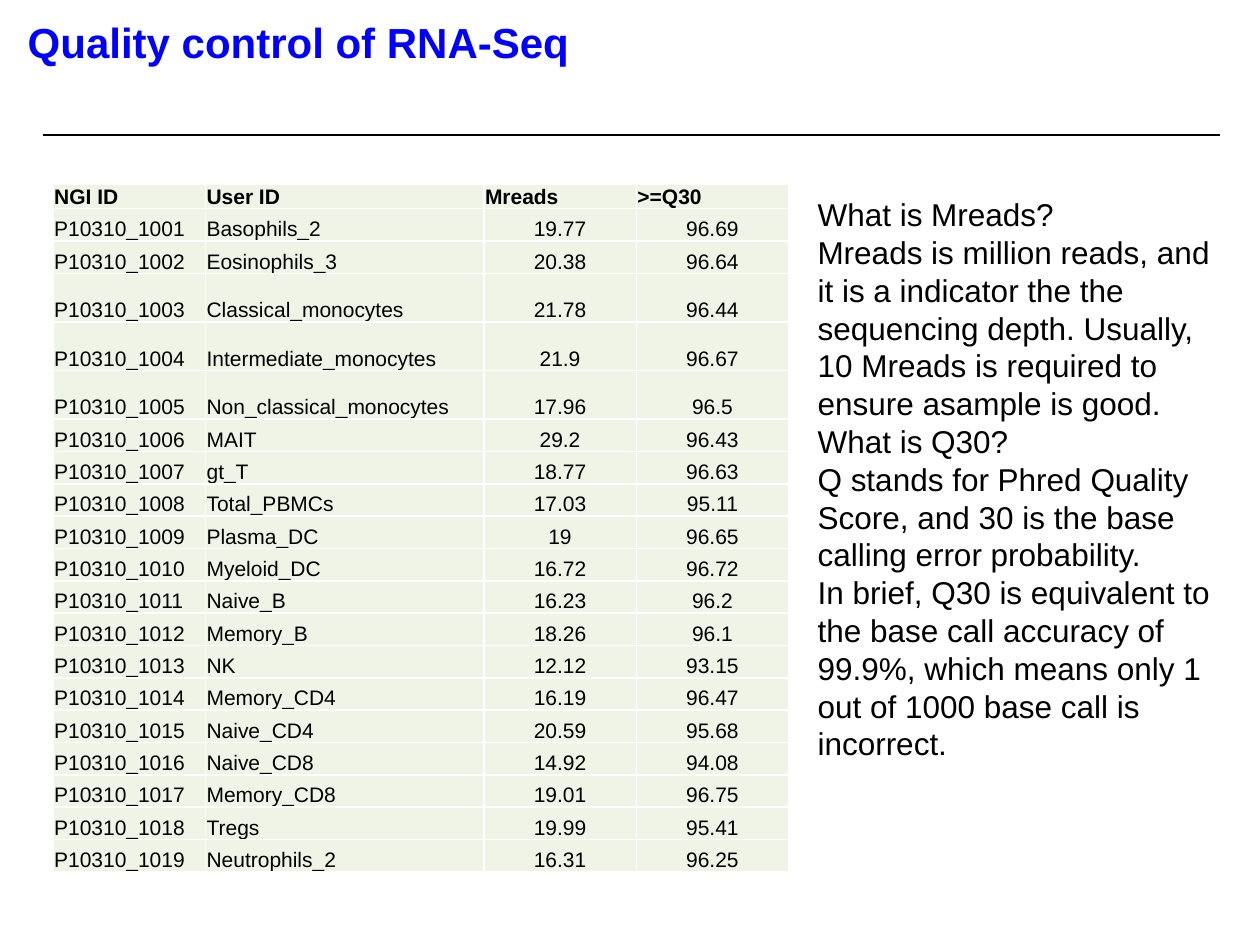
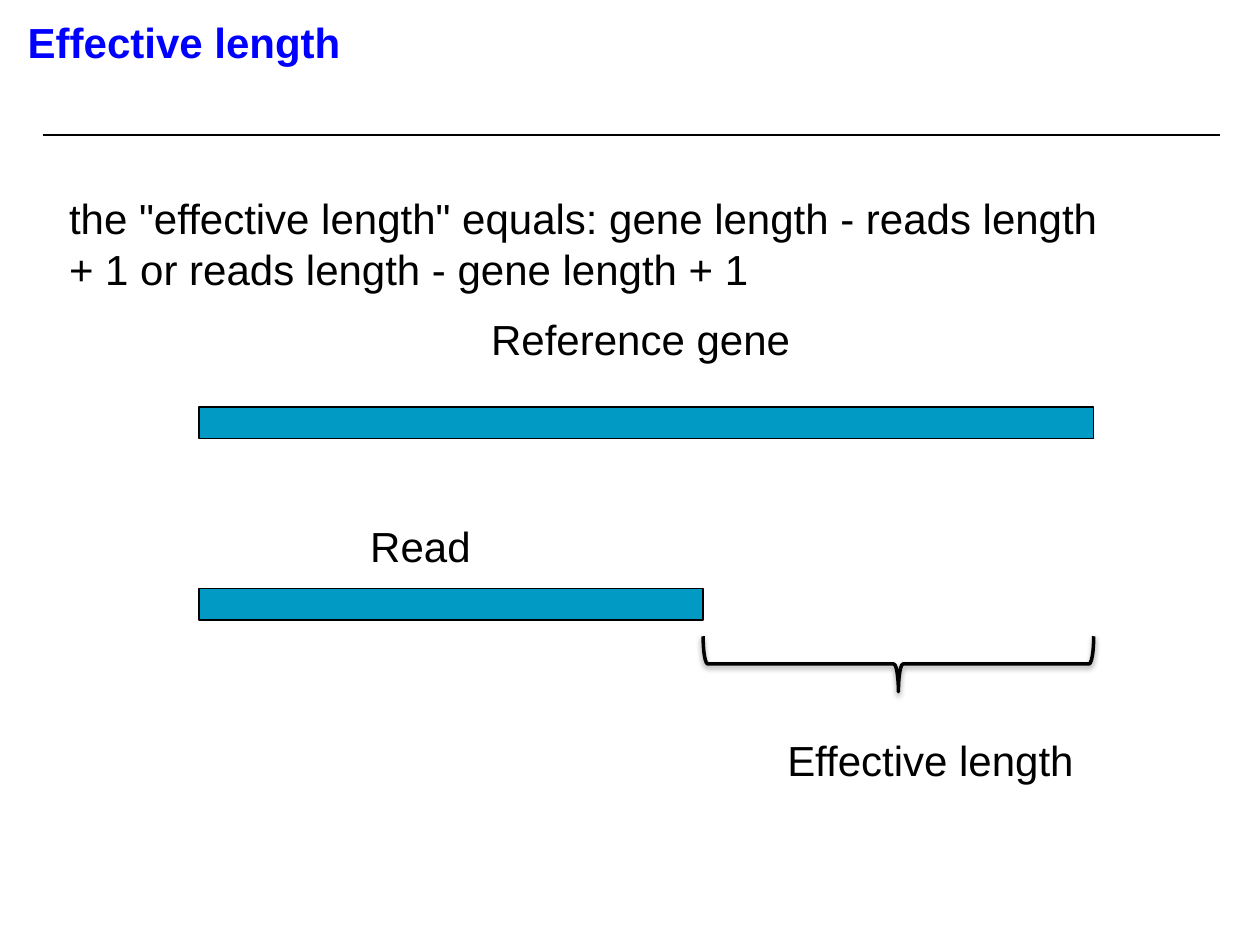
"""Build two slides on RNA-Seq quality control and effective length."""
from dataclasses import dataclass

from lxml.etree import SubElement
from pptx import Presentation
from pptx.dml.color import RGBColor
from pptx.enum.shapes import MSO_CONNECTOR, MSO_SHAPE
from pptx.enum.text import MSO_ANCHOR, MSO_AUTO_SIZE, PP_ALIGN
from pptx.oxml.ns import qn
from pptx.util import Inches, Pt


@dataclass(frozen=True)
class Theme:
    font: str = "Arial"
    ink: str = "000000"
    title: str = "0000FF"
    bar: str = "009AC5"
    cell: str = "EFF4E7"
    cell_border: str = "FFFFFF"
    title_size: int = 24
    label_size: int = 24
    body_size: int = 18
    table_size: int = 12


SAMPLES = [
    ("Basophils_2", "19.77", "96.69"),
    ("Eosinophils_3", "20.38", "96.64"),
    ("Classical_monocytes", "21.78", "96.44"),
    ("Intermediate_monocytes", "21.9", "96.67"),
    ("Non_classical_monocytes", "17.96", "96.5"),
    ("MAIT", "29.2", "96.43"),
    ("gt_T", "18.77", "96.63"),
    ("Total_PBMCs", "17.03", "95.11"),
    ("Plasma_DC", "19", "96.65"),
    ("Myeloid_DC", "16.72", "96.72"),
    ("Naive_B", "16.23", "96.2"),
    ("Memory_B", "18.26", "96.1"),
    ("NK", "12.12", "93.15"),
    ("Memory_CD4", "16.19", "96.47"),
    ("Naive_CD4", "20.59", "95.68"),
    ("Naive_CD8", "14.92", "94.08"),
    ("Memory_CD8", "19.01", "96.75"),
    ("Tregs", "19.99", "95.41"),
    ("Neutrophils_2", "16.31", "96.25"),
]
EXPLANATION = [
    "What is Mreads?",
    "Mreads is million reads, and it is a indicator the the sequencing depth. "
    "Usually, 10 Mreads is required to ensure asample is good.",
    "What is Q30?",
    "Q stands for Phred Quality Score, and 30 is the base calling error probability.",
    "In brief, Q30 is equivalent to the base call accuracy of 99.9%, "
    "which means only 1 out of 1000 base call is incorrect.",
]


class SlideBuilder:
    def __init__(self, deck, theme):
        self.deck = deck
        self.theme = theme
        self.page = None

    def start_page(self, title):
        self.page = self.deck.slides.add_slide(self.deck.slide_layouts[5])
        box = self.page.shapes.title
        box.left, box.top = Inches(0.12), Inches(0.08)
        box.width, box.height = Inches(8.64), Inches(0.89)
        frame = box.text_frame
        frame.auto_size = MSO_AUTO_SIZE.NONE
        frame.vertical_anchor = MSO_ANCHOR.TOP
        self.add_lines(frame, [title], self.theme.title_size, self.theme.title, bold=True)
        self.rule(0.34, 9.68, 1.07)

    def add_lines(self, frame, lines, size, color=None, bold=False, align=PP_ALIGN.LEFT):
        for index, line in enumerate(lines):
            para = frame.add_paragraph() if index else frame.paragraphs[0]
            para.alignment = align
            span = para.add_run()
            span.text = line
            span.font.name = self.theme.font
            span.font.size = Pt(size)
            span.font.bold = bold
            span.font.color.rgb = RGBColor.from_string(color or self.theme.ink)

    def rule(self, left, right, top):
        line = self.page.shapes.add_connector(
            MSO_CONNECTOR.STRAIGHT, Inches(left), Inches(top), Inches(right), Inches(top))
        self.outline(line, 1)
        SubElement(line.element.spPr, qn("a:effectLst"))

    def outline(self, shape, width):
        shape.line.color.rgb = RGBColor.from_string(self.theme.ink)
        shape.line.width = Pt(width)

    def text(self, lines, left, top, width, height, size):
        box = self.page.shapes.add_textbox(
            Inches(left), Inches(top), Inches(width), Inches(height))
        box.text_frame.word_wrap = True
        box.text_frame.auto_size = MSO_AUTO_SIZE.SHAPE_TO_FIT_TEXT
        self.add_lines(box.text_frame, lines, size)

    def label(self, line, left, top):
        self.text([line], left, top, 4.23, 0.5, self.theme.label_size)

    def bar(self, left, top, width):
        bar = self.page.shapes.add_shape(
            MSO_SHAPE.RECTANGLE, Inches(left), Inches(top), Inches(width), Inches(0.25))
        bar.shadow.inherit = False
        bar.fill.solid()
        bar.fill.fore_color.rgb = RGBColor.from_string(self.theme.bar)
        self.outline(bar, 0.75)

    def brace_below(self, left, top, width, depth):
        shift = (width - depth) / 2
        brace = self.page.shapes.add_shape(
            MSO_SHAPE.RIGHT_BRACE, Inches(left + shift), Inches(top - shift),
            Inches(depth), Inches(width))
        brace.rotation = 90
        brace.fill.background()
        self.outline(brace, 2)
        brace.shadow.inherit = False
        effects = brace.element.spPr.find(qn("a:effectLst"))
        shadow = SubElement(effects, qn("a:outerShdw"), blurRad=str(Pt(3.1)),
                            dist=str(Pt(1.6)), dir="5400000", rotWithShape="0")
        color = SubElement(shadow, qn("a:srgbClr"), val=self.theme.ink)
        SubElement(color, qn("a:alpha"), val="38000")

    def table(self, rows, left, top, widths, heights):
        frame = self.page.shapes.add_table(
            len(rows), len(widths), Inches(left), Inches(top),
            Inches(sum(widths)), Inches(sum(heights)))
        table = frame.table
        table.first_row = table.horz_banding = False
        for column, width in zip(table.columns, widths):
            column.width = Inches(width)
        for row, height in zip(table.rows, heights):
            row.height = Inches(height)
        for row_index, values in enumerate(rows):
            header = row_index == 0
            for column_index, value in enumerate(values):
                centred = not header and column_index >= 2
                self.fill_cell(table.cell(row_index, column_index), value, header,
                               PP_ALIGN.CENTER if centred else PP_ALIGN.LEFT)

    def fill_cell(self, cell, value, bold, align):
        cell.margin_left = cell.margin_right = cell.margin_top = Inches(0.01)
        cell.margin_bottom = 0
        cell.vertical_anchor = MSO_ANCHOR.BOTTOM
        properties = cell._tc.get_or_add_tcPr()
        for side in ("lnL", "lnR", "lnT", "lnB"):
            border = SubElement(properties, qn(f"a:{side}"), w=str(Pt(1)))
            fill = SubElement(border, qn("a:solidFill"))
            SubElement(fill, qn("a:srgbClr"), val=self.theme.cell_border)
        cell.fill.solid()
        cell.fill.fore_color.rgb = RGBColor.from_string(self.theme.cell)
        self.add_lines(cell.text_frame, [value], self.theme.table_size,
                       bold=bold, align=align)


def quality_control_page(builder):
    builder.start_page("Quality control of RNA-Seq")
    rows = [("NGI ID", "User ID", "Mreads", ">=Q30")]
    rows += [(f"P10310_{number}", *sample) for number, sample in enumerate(SAMPLES, 1001)]
    header_height, table_height = 0.19, 5.46
    weights = [1.5 if "monocytes" in sample[0] else 1 for sample in SAMPLES]
    unit = (table_height - header_height) / sum(weights)
    heights = [header_height] + [unit * weight for weight in weights]
    builder.table(rows, 0.42, 1.46, [1.21, 2.21, 1.21, 1.21], heights)
    builder.text(EXPLANATION, 6.39, 1.5, 3.42, 4.64, builder.theme.body_size)


def effective_length_page(builder):
    builder.start_page("Effective length")
    builder.text(['the "effective length" equals: gene length - reads length + 1 '
                  "or reads length - gene length + 1"],
                 0.45, 1.48, 8.45, 0.91, builder.theme.label_size)
    left, gene_length, read_length = 1.58, 7.1, 4
    builder.bar(left, 3.23, gene_length)
    builder.bar(left, 4.67, read_length)
    builder.brace_below(left + read_length, 5.05, gene_length - read_length, 0.44)
    builder.label("Reference gene", 3.8, 2.44)
    builder.label("Effective length", 6.15, 5.78)
    builder.label("Read", 2.84, 4.08)


def main():
    deck = Presentation()
    deck.slide_width, deck.slide_height = Inches(10), Inches(7.5)
    builder = SlideBuilder(deck, Theme())
    quality_control_page(builder)
    effective_length_page(builder)
    deck.save("out.pptx")


if __name__ == "__main__":
    main()
